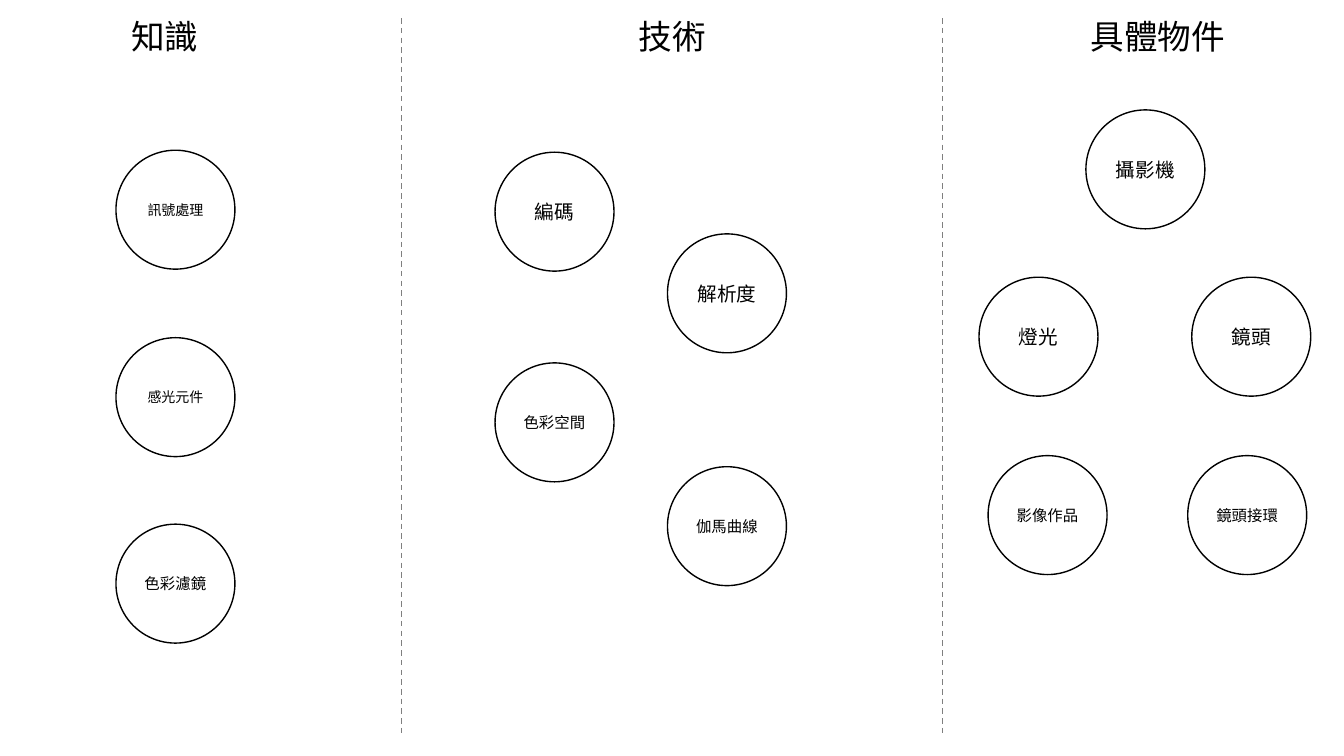
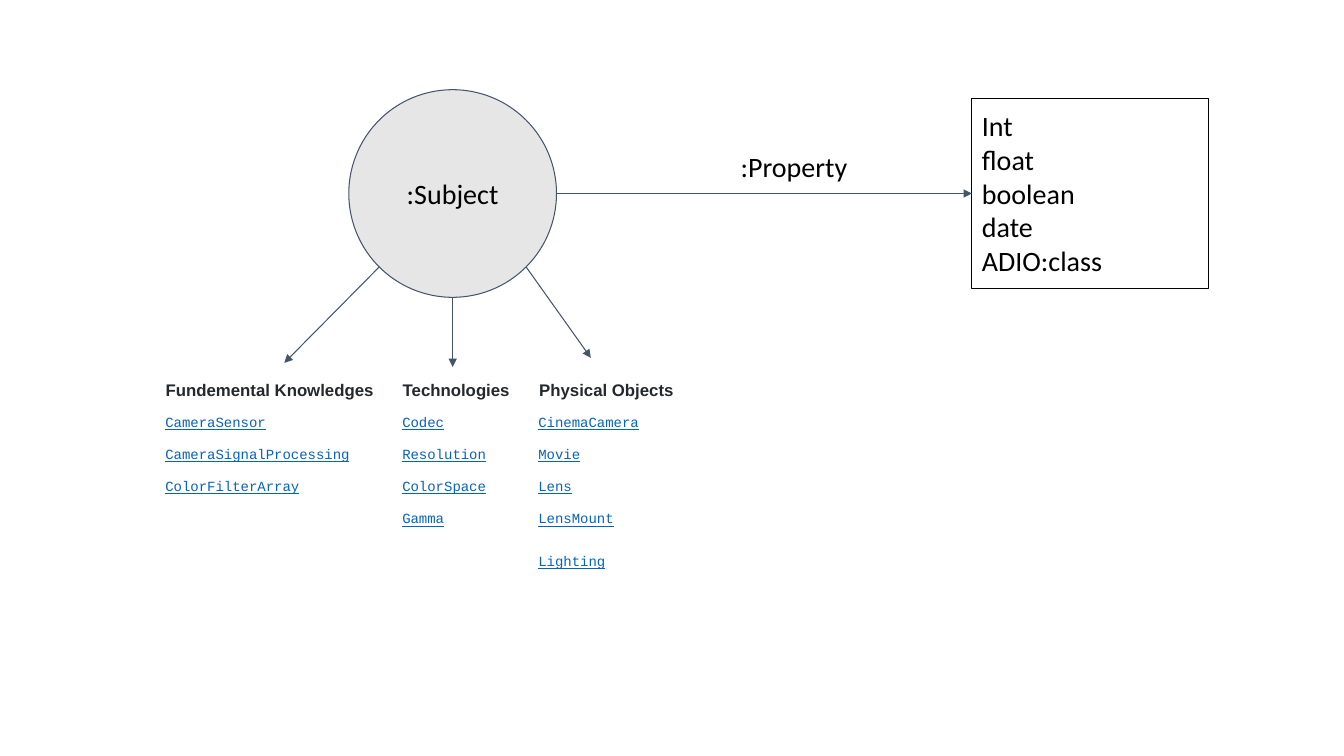
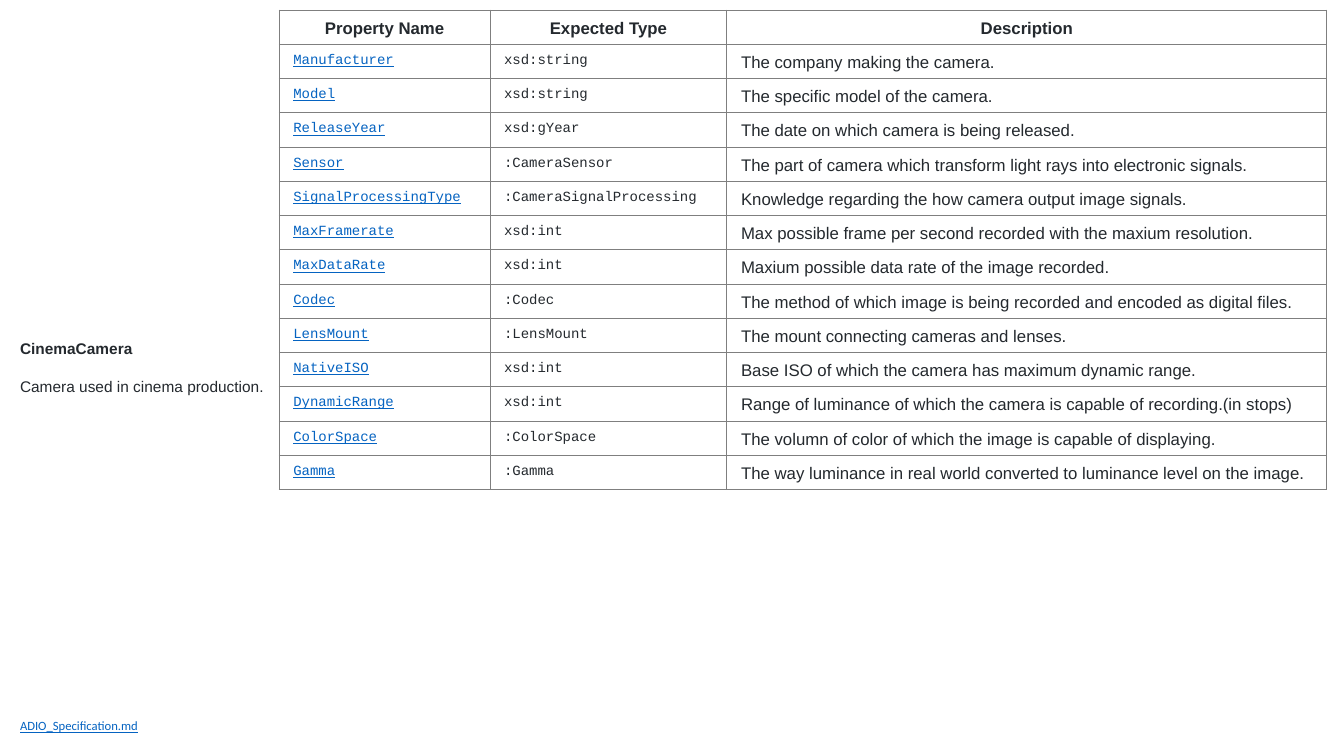
from dataclasses import dataclass
from math import sqrt

from lxml import etree
from pptx import Presentation
from pptx.dml.color import RGBColor
from pptx.enum import dml, shapes, text
from pptx.oxml import ns
from pptx.util import Inches, Pt

BLACK = RGBColor(0x00, 0x00, 0x00)
WHITE = RGBColor(0xFF, 0xFF, 0xFF)
GRAY = RGBColor(0x7F, 0x7F, 0x7F)
PALE = RGBColor(0xE7, 0xE6, 0xE6)
SLATE = RGBColor(0x44, 0x54, 0x6A)
INK = RGBColor(0x24, 0x29, 0x2E)
LINK = RGBColor(0x05, 0x63, 0xC1)

CENTER = text.PP_ALIGN.CENTER
LEFT = text.PP_ALIGN.LEFT
TOP = text.MSO_ANCHOR.TOP
MIDDLE = text.MSO_ANCHOR.MIDDLE


@dataclass(frozen=True)
class Style:
    font: str
    size: int
    color: RGBColor = BLACK
    bold: bool = False
    underline: bool = False


HEADING = Style("Arial", 24)
DIAGRAM = Style("Calibri", 20)
TABLE_HEAD = Style("Arial", 12, INK, bold=True)
TABLE_LINK = Style("Courier New", 10, LINK, underline=True)
TABLE_CODE = Style("Courier New", 10, INK)
TABLE_TEXT = Style("Arial", 12, INK)
CLASS_NAME = Style("Arial", 11, INK, bold=True)
CLASS_NOTE = Style("Arial", 11, INK)
FILE_LINK = Style("Calibri", 9, LINK, underline=True)


# Shared building blocks
def write(paragraph, words, style, align=LEFT, spacing=None, before=None, after=None):
    paragraph.alignment = align
    if spacing:
        paragraph.line_spacing = spacing
    if before is not None:
        paragraph.space_before = Pt(before)
    if after is not None:
        paragraph.space_after = Pt(after)
    run = paragraph.add_run()
    run.text = words
    font = run.font
    font.name, font.size = style.font, Pt(style.size)
    font.bold, font.underline = style.bold, style.underline
    font.color.rgb = style.color


def set_frame(frame, anchor=TOP, side=0.1, ends=0.1):
    frame.word_wrap = True
    frame.vertical_anchor = anchor
    frame.margin_left = frame.margin_right = Inches(side)
    frame.margin_top = frame.margin_bottom = Inches(ends)
    return frame


def add_text_box(slide, left, top, width, height, **frame_options):
    box = slide.shapes.add_textbox(
        Inches(left), Inches(top), Inches(width), Inches(height))
    return set_frame(box.text_frame, **frame_options)


def add_outlined(slide, kind, left, top, width, height, color, weight, fill=None):
    shape = slide.shapes.add_shape(
        kind, Inches(left), Inches(top), Inches(width), Inches(height))
    shape.shadow.inherit = False
    if fill is None:
        shape.fill.background()
    else:
        shape.fill.solid()
        shape.fill.fore_color.rgb = fill
    shape.line.color.rgb = color
    shape.line.width = Pt(weight)
    return shape


def add_line(slide, start, end, color, weight):
    line = slide.shapes.add_connector(
        shapes.MSO_CONNECTOR.STRAIGHT, *(Inches(v) for v in (*start, *end)))
    line.line.color.rgb = color
    line.line.width = Pt(weight)
    etree.SubElement(line.element.spPr, ns.qn("a:effectLst"))
    return line


def add_arrow(slide, start, end):
    arrow = add_line(slide, start, end, SLATE, 0.75)
    outline = arrow.line._get_or_add_ln()
    etree.SubElement(outline, ns.qn("a:tailEnd"), type="triangle")
    return arrow


def add_borders(cell, color, weight):
    properties = cell._tc.get_or_add_tcPr()
    for index, side in enumerate(("lnL", "lnR", "lnT", "lnB")):
        border = etree.Element(ns.qn("a:" + side), w=str(Pt(weight)))
        fill = etree.SubElement(border, ns.qn("a:solidFill"))
        etree.SubElement(fill, ns.qn("a:srgbClr"), val=str(color))
        properties.insert(index, border)


def add_grid(slide, left, top, widths, row_height, header, rows, styles, border=None):
    """Table with a centred header row and one style per body column."""
    lines = [header, *rows]
    table = slide.shapes.add_table(
        len(lines), len(widths), Inches(left), Inches(top),
        Inches(sum(widths)), Inches(row_height * len(lines))).table
    table.first_row = table.horz_banding = False
    for column, width in zip(table.columns, widths):
        column.width = Inches(width)
    for r, line in enumerate(lines):
        table.rows[r].height = Inches(row_height)
        for c, words in enumerate(line):
            cell = table.cell(r, c)
            cell.fill.solid()
            cell.fill.fore_color.rgb = WHITE
            cell.margin_left = cell.margin_right = Inches(0.14)
            cell.margin_top = cell.margin_bottom = Inches(0.06)
            if border:
                add_borders(cell, border, 0.75)
            if words:
                style, align = (styles[c], LEFT) if r else (TABLE_HEAD, CENTER)
                write(cell.text_frame.paragraphs[0], words, style, align, 1.15, after=12)


# Slide 1: three columns of concepts
DIVIDERS = (3.98, 9.35)
CONCEPT_SIZE = 1.18
# Heading, heading left, then (concept, left, top, text size)
COLUMNS = (
    ("知識", 0.86, (
        ("訊號處理", 1.15, 1.49, 10),
        ("感光元件", 1.15, 3.35, 10),
        ("色彩濾鏡", 1.15, 5.2, 11))),
    ("技術", 5.89, (
        ("編碼", 4.91, 1.51, 14),
        ("解析度", 6.62, 2.32, 14),
        ("色彩空間", 4.91, 3.6, 11),
        ("伽馬曲線", 6.62, 4.63, 11))),
    ("具體物件", 10.71, (
        ("攝影機", 10.77, 1.09, 14),
        ("燈光", 9.71, 2.75, 14),
        ("鏡頭", 11.82, 2.75, 14),
        ("影像作品", 9.8, 4.52, 11),
        ("鏡頭接環", 11.78, 4.52, 11))),
)


def add_concept(slide, name, left, top, size):
    circle = add_outlined(slide, shapes.MSO_SHAPE.OVAL, left, top,
                          CONCEPT_SIZE, CONCEPT_SIZE, BLACK, 1)
    frame = set_frame(circle.text_frame, MIDDLE, ends=0.05)
    write(frame.paragraphs[0], name, Style("Arial", size), CENTER)


def build_concepts(slide):
    for x in DIVIDERS:
        divider = add_line(slide, (x, 0.18), (x, 7.31), GRAY, 1)
        divider.line.dash_style = dml.MSO_LINE.DASH
    for heading, left, concepts in COLUMNS:
        frame = add_text_box(slide, left, 0.19, 1.55, 0.42, ends=0.05)
        write(frame.paragraphs[0], heading, HEADING, CENTER, spacing=0.8)
        for concept in concepts:
            add_concept(slide, *concept)


# Slide 2: subject, property and classes
VALUE_TYPES = ("Int", "float", "boolean", "date", "ADIO:class")
CLASS_GROUPS = ("Fundemental Knowledges", "Technologies", "Physical Objects")
CLASSES = (
    ("CameraSensor", "Codec", "CinemaCamera"),
    ("CameraSignalProcessing", "Resolution", "Movie"),
    ("ColorFilterArray", "ColorSpace", "Lens"),
    ("", "Gamma", "LensMount"),
    ("", "", "Lighting"),
)


def add_value_types(slide, left, top, width, height):
    box = add_outlined(slide, shapes.MSO_SHAPE.RECTANGLE,
                       left, top, width, height, BLACK, 0.75)
    frame = set_frame(box.text_frame)
    for i, name in enumerate(VALUE_TYPES):
        paragraph = frame.add_paragraph() if i else frame.paragraphs[0]
        write(paragraph, name, DIAGRAM)
    return box


def add_subject(slide, left, top, size):
    """Draw the subject and return its centre and radius."""
    circle = add_outlined(slide, shapes.MSO_SHAPE.OVAL,
                          left, top, size, size, SLATE, 0.75, PALE)
    frame = set_frame(circle.text_frame, MIDDLE)
    write(frame.paragraphs[0], ":Subject", DIAGRAM, CENTER)
    radius = size / 2
    return left + radius, top + radius, radius


def build_ontology(slide):
    x, y, radius = add_subject(slide, 3.46, 0.89, 2.06)
    box_left = 9.64
    value_types = add_value_types(slide, box_left, 0.98, 2.35, 1.88)

    # Property arrow and its label
    link = add_arrow(slide, (x + radius, y), (box_left, y))
    link.end_connect(value_types, 1)
    label = add_text_box(slide, 7.2, 1.38, 1.35, 0.54)
    write(label.paragraphs[0], ":Property", DIAGRAM, CENTER)

    # Arrows from the circle's lower edge to the class groups
    diagonal = radius / sqrt(2)
    add_arrow(slide, (x - diagonal, y + diagonal), (2.82, 3.6))
    add_arrow(slide, (x, y + radius), (x, 3.64))
    add_arrow(slide, (x + diagonal, y + diagonal), (5.86, 3.55))

    add_grid(slide, 1.5, 3.69, (2.35, 1.35, 1.63), 0.32,
             CLASS_GROUPS, CLASSES, (TABLE_LINK,) * 3)


# Slide 3: properties of one class
PROPERTY_HEADER = ("Property Name", "Expected Type", "Description")
PROPERTIES = (
    ("Manufacturer", "xsd:string", "The company making the camera."),
    ("Model", "xsd:string", "The specific model of the camera."),
    ("ReleaseYear", "xsd:gYear", "The date on which camera is being released."),
    ("Sensor", ":CameraSensor",
     "The part of camera which transform light rays into electronic signals."),
    ("SignalProcessingType", ":CameraSignalProcessing",
     "Knowledge regarding the how camera output image signals."),
    ("MaxFramerate", "xsd:int",
     "Max possible frame per second recorded with the maxium resolution."),
    ("MaxDataRate", "xsd:int", "Maxium possible data rate of the image recorded."),
    ("Codec", ":Codec",
     "The method of which image is being recorded and encoded as digital files."),
    ("LensMount", ":LensMount", "The mount connecting cameras and lenses."),
    ("NativeISO", "xsd:int",
     "Base ISO of which the camera has maximum dynamic range."),
    ("DynamicRange", "xsd:int",
     "Range of luminance of which the camera is capable of recording.(in stops)"),
    ("ColorSpace", ":ColorSpace",
     "The volumn of color of which the image is capable of displaying."),
    ("Gamma", ":Gamma",
     "The way luminance in real world converted to luminance level on the image."),
)


def build_properties(slide):
    add_grid(slide, 2.77, 0.1, (2.09, 2.35, 5.95), 0.34, PROPERTY_HEADER,
             PROPERTIES, (TABLE_LINK, TABLE_CODE, TABLE_TEXT), GRAY)

    # Class name and summary
    summary = add_text_box(slide, 0.1, 1.98, 3.28, 3.28, anchor=MIDDLE)
    write(summary.paragraphs[0], "CinemaCamera", CLASS_NAME, spacing=1.25, before=18)
    write(summary.add_paragraph(), "Camera used in cinema production.",
          CLASS_NOTE, spacing=1.15, before=12, after=12)

    # Specification file
    footer = add_text_box(slide, 0.1, 7.05, 6.15, 0.35)
    write(footer.paragraphs[0], "ADIO_Specification.md", FILE_LINK)


def main():
    deck = Presentation()
    deck.slide_width, deck.slide_height = Inches(13.33), Inches(7.5)
    blank = deck.slide_layouts[6]
    for build in (build_concepts, build_ontology, build_properties):
        build(deck.slides.add_slide(blank))
    deck.save("out.pptx")


if __name__ == "__main__":
    main()
